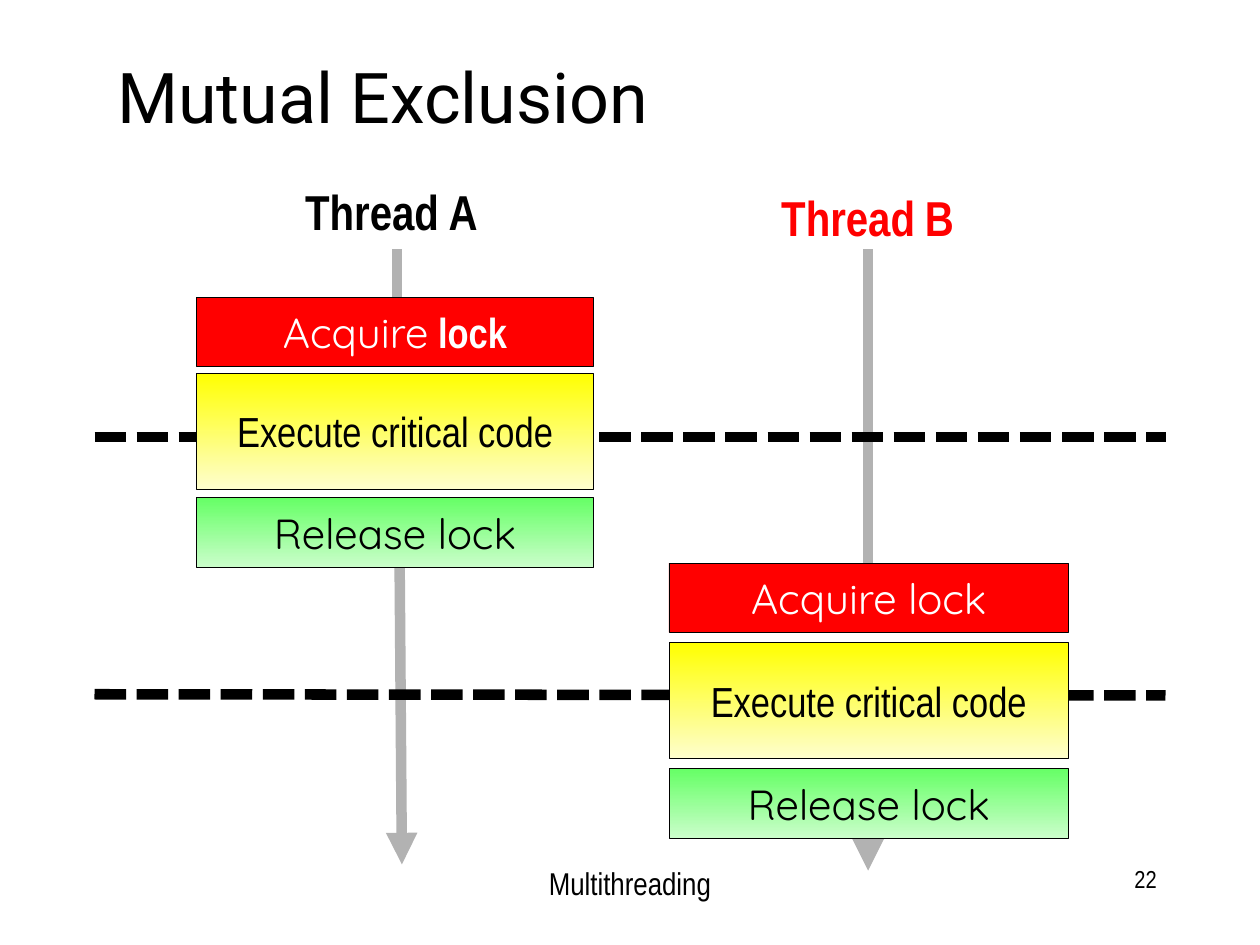
from dataclasses import dataclass

from lxml.etree import SubElement
from pptx import Presentation
from pptx.dml.color import RGBColor
from pptx.enum.dml import MSO_LINE
from pptx.enum.shapes import MSO_CONNECTOR, MSO_SHAPE
from pptx.enum.text import MSO_ANCHOR, MSO_AUTO_SIZE, PP_ALIGN
from pptx.oxml.ns import qn
from pptx.util import Inches, Pt

NARROW = "Arial Narrow"
SOFT = "Quicksand"
GRAY = "B2B2B2"
BLACK = "000000"
WHITE = "FFFFFF"
RED = "FF0000"


@dataclass
class Word:
    text: str
    font: str = NARROW
    size: float = 24
    bold: bool = False


@dataclass
class Step:
    top: float
    high: float
    fills: tuple[str, ...]
    words: list[Word]
    ink: str = BLACK


@dataclass
class Line:
    start: tuple[float, float]
    end: tuple[float, float]
    color: str = GRAY
    arrow: bool = False
    dots: bool = False


def paint(item, code: str) -> None:
    item.rgb = RGBColor.from_string(code)


def write(frame, words: list[Word], *, ink: str = BLACK, align=PP_ALIGN.CENTER,
          anchor=MSO_ANCHOR.MIDDLE, wrap: bool = False) -> None:
    frame.auto_size = MSO_AUTO_SIZE.NONE
    frame.word_wrap = wrap
    frame.vertical_anchor = anchor
    para = frame.paragraphs[0]
    para.alignment = align
    for word in words:
        run = para.add_run()
        run.text = word.text
        run.font.name = word.font
        run.font.size = Pt(word.size)
        run.font.bold = word.bold
        paint(run.font.color, ink)


def add_text(slide, left: float, top: float, wide: float, high: float,
             words: list[Word], **style) -> None:
    box = slide.shapes.add_textbox(Inches(left), Inches(top), Inches(wide), Inches(high))
    write(box.text_frame, words, **style)


def add_step(slide, left: float, wide: float, step: Step) -> None:
    box = slide.shapes.add_shape(MSO_SHAPE.RECTANGLE, Inches(left), Inches(step.top),
                                 Inches(wide), Inches(step.high))
    box.shadow.inherit = False
    if len(step.fills) == 1:
        box.fill.solid()
        paint(box.fill.fore_color, step.fills[0])
    else:
        box.fill.gradient()
        box.fill.gradient_angle = 270
        for stop, code in zip(box.fill.gradient_stops, step.fills):
            paint(stop.color, code)
    paint(box.line.color, BLACK)
    box.line.width = Pt(0.25)
    write(box.text_frame, step.words, ink=step.ink)


def add_line(slide, line: Line) -> None:
    ends = [Inches(n) for n in (*line.start, *line.end)]
    link = slide.shapes.add_connector(MSO_CONNECTOR.STRAIGHT, *ends)
    paint(link.line.color, line.color)
    link.line.width = Pt(6)
    if line.dots:
        link.line.dash_style = MSO_LINE.SQUARE_DOT
    frame = link._element.spPr
    if line.arrow:
        SubElement(frame.find(qn("a:ln")), qn("a:tailEnd"), type="triangle")
    SubElement(frame, qn("a:effectLst"))


def acquire(top: float, words: list[Word]) -> Step:
    return Step(top, 0.55, (RED,), words, WHITE)


def execute(top: float) -> Step:
    return Step(top, 0.92, ("FFFF00", "FEFECD"), [Word("Execute critical code")])


def release(top: float) -> Step:
    return Step(top, 0.55, ("66FF66", "CAFECA"), [Word("Release lock", SOFT)])


def main() -> None:
    deck = Presentation()
    deck.slide_width, deck.slide_height = Inches(10), Inches(7.5)
    slide = deck.slides.add_slide(deck.slide_layouts[5])

    title = slide.shapes.title
    title.left, title.top = Inches(0.83), Inches(0.43)
    title.width, title.height = Inches(7.32), Inches(0.71)
    write(title.text_frame, [Word("Mutual Exclusion", "Roboto", 40)],
          align=PP_ALIGN.LEFT, anchor=MSO_ANCHOR.BOTTOM, wrap=True)

    add_text(slide, 2.31, 1.39, 1.67, 0.57, [Word("Thread A ", size=28, bold=True)])
    add_text(slide, 6.1, 1.44, 1.57, 0.57,
             [Word("Thread", size=28, bold=True), Word(" ", "Arial", 20, True),
              Word("B", size=28, bold=True)], ink=RED)

    for line in (
        Line((3.15, 1.98), (3.15, 2.45)),
        Line((6.89, 1.98), (6.89, 4.54)),
        Line((6.89, 6.58), (6.89, 6.91), arrow=True),
        Line((3.17, 4.22), (3.19, 6.86), arrow=True),
        Line((0.75, 3.47), (9.25, 3.47), BLACK, dots=True),
        Line((0.75, 5.51), (9.25, 5.52), BLACK, dots=True),
    ):
        add_line(slide, line)

    mixed = [Word("Acquire", SOFT), Word(" lock", bold=True)]
    for step in (acquire(2.36, mixed), execute(2.96), release(3.95)):
        add_step(slide, 1.56, 3.15, step)
    plain = [Word("Acquire lock", SOFT)]
    for step in (acquire(4.47, plain), execute(5.1), release(6.1)):
        add_step(slide, 5.31, 3.17, step)

    add_text(slide, 3.42, 6.81, 3.16, 0.5, [Word("Multithreading", size=18)],
             anchor=MSO_ANCHOR.TOP, wrap=True)
    add_text(slide, 7.2, 6.81, 2.08, 0.5, [Word("22", size=14)],
             align=PP_ALIGN.RIGHT, anchor=MSO_ANCHOR.TOP, wrap=True)
    deck.save("out.pptx")


if __name__ == "__main__":
    main()
